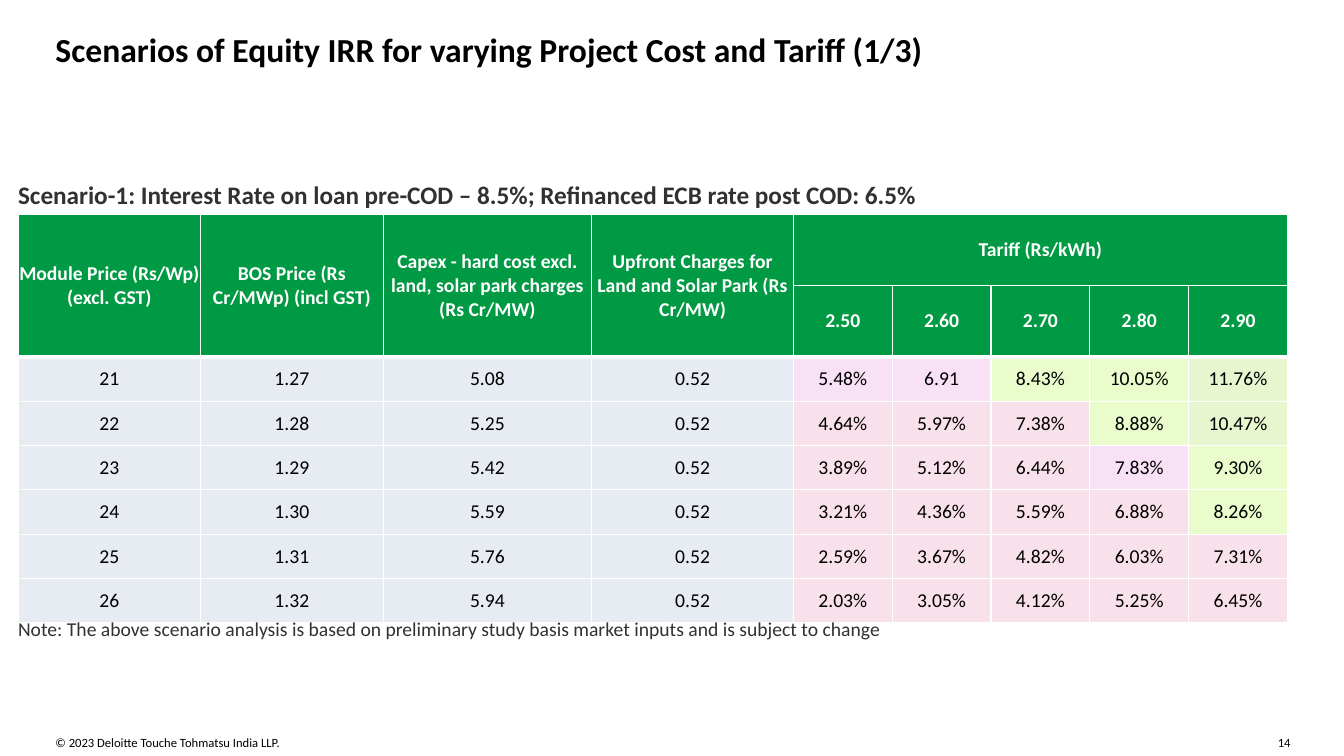
from lxml import etree
from pptx import Presentation
from pptx.dml.color import RGBColor
from pptx.enum.text import MSO_ANCHOR, MSO_AUTO_SIZE, PP_ALIGN
from pptx.oxml.ns import qn
from pptx.util import Inches, Pt

CENTER, LEFT, RIGHT = PP_ALIGN.CENTER, PP_ALIGN.LEFT, PP_ALIGN.RIGHT
MIDDLE, TOP = MSO_ANCHOR.MIDDLE, MSO_ANCHOR.TOP
GROW, FIXED = MSO_AUTO_SIZE.SHAPE_TO_FIT_TEXT, MSO_AUTO_SIZE.NONE
TITLE_ONLY = 5

BLACK, DARK, WHITE = "000000", "313131", "FFFFFF"
GREEN, GREY = "009A44", "E7ECF2"
RATE_FILLS = {"P": "F9E1EC", "V": "F9E1F5", "L": "EBFCCC", "S": "E8F6CF"}

COLUMN_WIDTHS = [1.81, 1.81, 2.07, 2] + [0.98] * 5
ROW_HEIGHTS = [0.7, 0.62] + [0.44] * 6
COST_HEADERS = [
    "Module Price (Rs/Wp) (excl. GST)",
    "BOS Price (Rs Cr/MWp) (incl GST)",
    "Capex - hard cost excl. land, solar park charges (Rs Cr/MW)",
    "Upfront Charges for Land and Solar Park (Rs Cr/MW)",
]
TARIFFS = ["2.50", "2.60", "2.70", "2.80", "2.90"]
SCENARIOS = [
    (["21", "1.27", "5.08", "0.52"], ["5.48%", "6.91", "8.43%", "10.05%", "11.76%"], "VVLLS"),
    (["22", "1.28", "5.25", "0.52"], ["4.64%", "5.97%", "7.38%", "8.88%", "10.47%"], "PPPLS"),
    (["23", "1.29", "5.42", "0.52"], ["3.89%", "5.12%", "6.44%", "7.83%", "9.30%"], "PPPVL"),
    (["24", "1.30", "5.59", "0.52"], ["3.21%", "4.36%", "5.59%", "6.88%", "8.26%"], "PPPPL"),
    (["25", "1.31", "5.76", "0.52"], ["2.59%", "3.67%", "4.82%", "6.03%", "7.31%"], "PPPPP"),
    (["26", "1.32", "5.94", "0.52"], ["2.03%", "3.05%", "4.12%", "5.25%", "6.45%"], "PPPPP"),
]


def rgb(color):
    return RGBColor.from_string(color)


def set_all(target, values):
    for name, value in values.items():
        setattr(target, name, value)


def write(frame, text, size, color, bold=False, align=LEFT):
    frame.text = text
    paragraph = frame.paragraphs[0]
    paragraph.alignment = align
    font = paragraph.runs[0].font
    set_all(font, {"name": "Calibri", "size": Pt(size), "bold": bold})
    font.color.rgb = rgb(color)


def format_frame(frame, wrap=True, fit=GROW):
    set_all(frame, {
        "margin_left": 0, "margin_right": 0, "margin_top": 0, "margin_bottom": 0,
        "word_wrap": wrap, "auto_size": fit, "vertical_anchor": TOP,
    })


def add_label(slide, place, text, size, color, bold=False, wrap=True, align=LEFT):
    frame = slide.shapes.add_textbox(*map(Inches, place)).text_frame
    format_frame(frame, wrap)
    write(frame, text, size, color, bold, align)


def add_title(slide, text):
    title = slide.shapes.title
    set_all(title, {"left": Inches(0.55), "top": Inches(0.29),
                    "width": Inches(12.24), "height": Inches(0.37)})
    format_frame(title.text_frame, fit=FIXED)
    write(title.text_frame, text, 24, BLACK, True)


def add_borders(cell, top, bottom):
    properties = cell._tc.get_or_add_tcPr()
    for side, width in (("L", 1), ("R", 1), ("T", top), ("B", bottom)):
        line = etree.SubElement(properties, qn(f"a:ln{side}"), w=str(Pt(width)))
        fill = etree.SubElement(line, qn("a:solidFill"))
        etree.SubElement(fill, qn("a:srgbClr"), val=WHITE)


def fill_cell(cell, text, fill, color=BLACK, bold=False, top=1, bottom=1):
    set_all(cell, {"margin_left": 0, "margin_right": 0, "margin_top": 0,
                   "margin_bottom": 0, "vertical_anchor": MIDDLE})
    add_borders(cell, top, bottom)
    cell.fill.solid()
    cell.fill.fore_color.rgb = rgb(fill)
    if text:
        write(cell.text_frame, text, 14, color, bold, CENTER)


def add_header(table):
    first_tariff = len(COST_HEADERS)
    rows = [COST_HEADERS + ["Tariff (Rs/kWh)"] + [""] * 4, [""] * first_tariff + TARIFFS]
    for row, texts in enumerate(rows):
        for column, text in enumerate(texts):
            bottom = 3 if row == 1 or column < first_tariff else 1
            fill_cell(table.cell(row, column), text, GREEN, WHITE, True, bottom=bottom)
    for column in range(first_tariff):
        table.cell(0, column).merge(table.cell(1, column))
    table.cell(0, first_tariff).merge(table.cell(0, len(COLUMN_WIDTHS) - 1))


def add_irr_table(slide):
    place = map(Inches, (0.18, 2.13, sum(COLUMN_WIDTHS), sum(ROW_HEIGHTS)))
    table = slide.shapes.add_table(len(ROW_HEIGHTS), len(COLUMN_WIDTHS), *place).table
    for column, width in zip(table.columns, COLUMN_WIDTHS):
        column.width = Inches(width)
    for row, height in zip(table.rows, ROW_HEIGHTS):
        row.height = Inches(height)
    add_header(table)
    for row, (costs, rates, keys) in enumerate(SCENARIOS, 2):
        fills = [GREY] * len(costs) + [RATE_FILLS[key] for key in keys]
        for column, (text, fill) in enumerate(zip(costs + rates, fills)):
            fill_cell(table.cell(row, column), text, fill, top=3 if row == 2 else 1)


def main():
    deck = Presentation()
    set_all(deck, {"slide_width": Inches(13.33), "slide_height": Inches(7.5)})
    slide = deck.slides.add_slide(deck.slide_layouts[TITLE_ONLY])
    add_title(slide, "Scenarios of Equity IRR for varying Project Cost and Tariff (1/3)")
    add_irr_table(slide)
    add_label(slide, (0.18, 1.78, 12.94, 0.3),
              "Scenario-1: Interest Rate on loan pre-COD – 8.5%; Refinanced ECB rate post COD: 6.5%",
              18, DARK, True)
    add_label(slide, (0.18, 6.12, 12.94, 0.24),
              "Note: The above scenario analysis is based on preliminary study basis market inputs "
              "and is subject to change", 14, DARK)
    add_label(slide, (0.55, 7.29, 5.86, 0.15),
              "© 2023 Deloitte Touche Tohmatsu India LLP.", 9, BLACK)
    add_label(slide, (12.65, 7.29, 0.15, 0.15), "14", 9, BLACK, wrap=False, align=RIGHT)
    deck.save("out.pptx")


if __name__ == "__main__":
    main()
